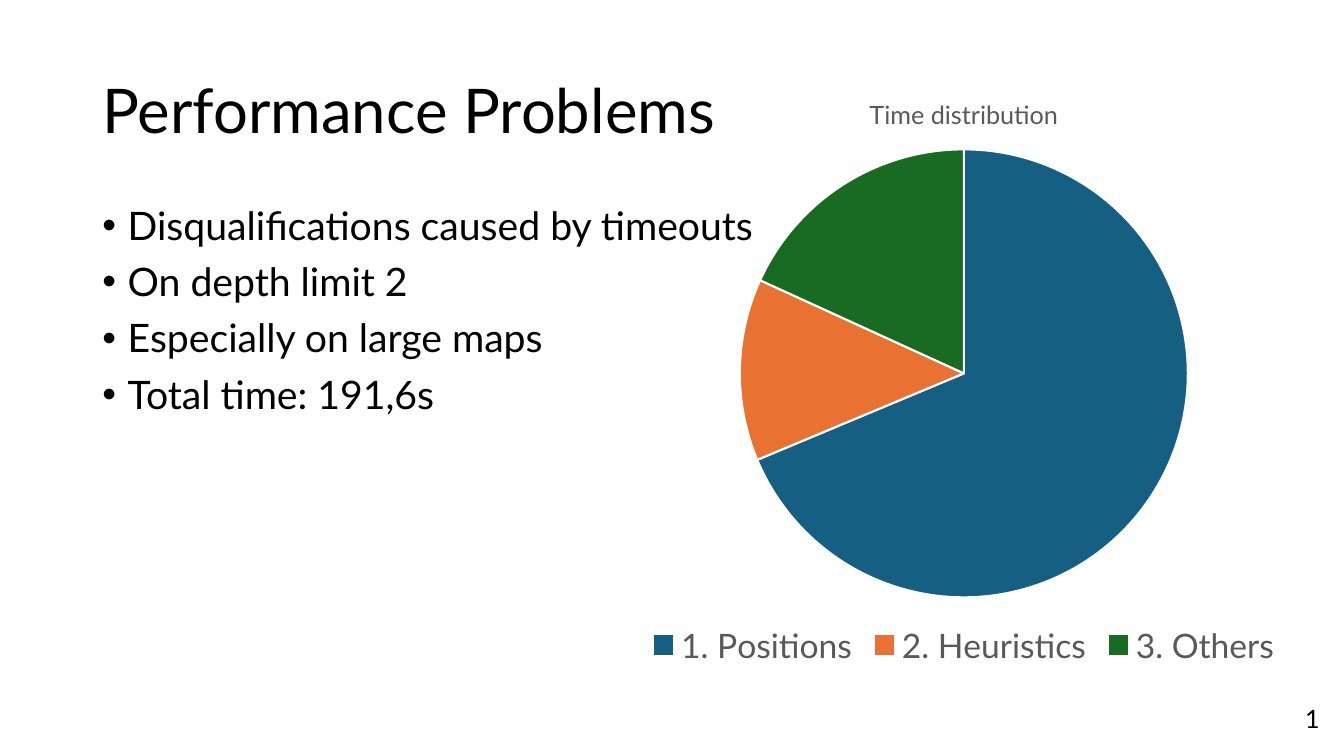
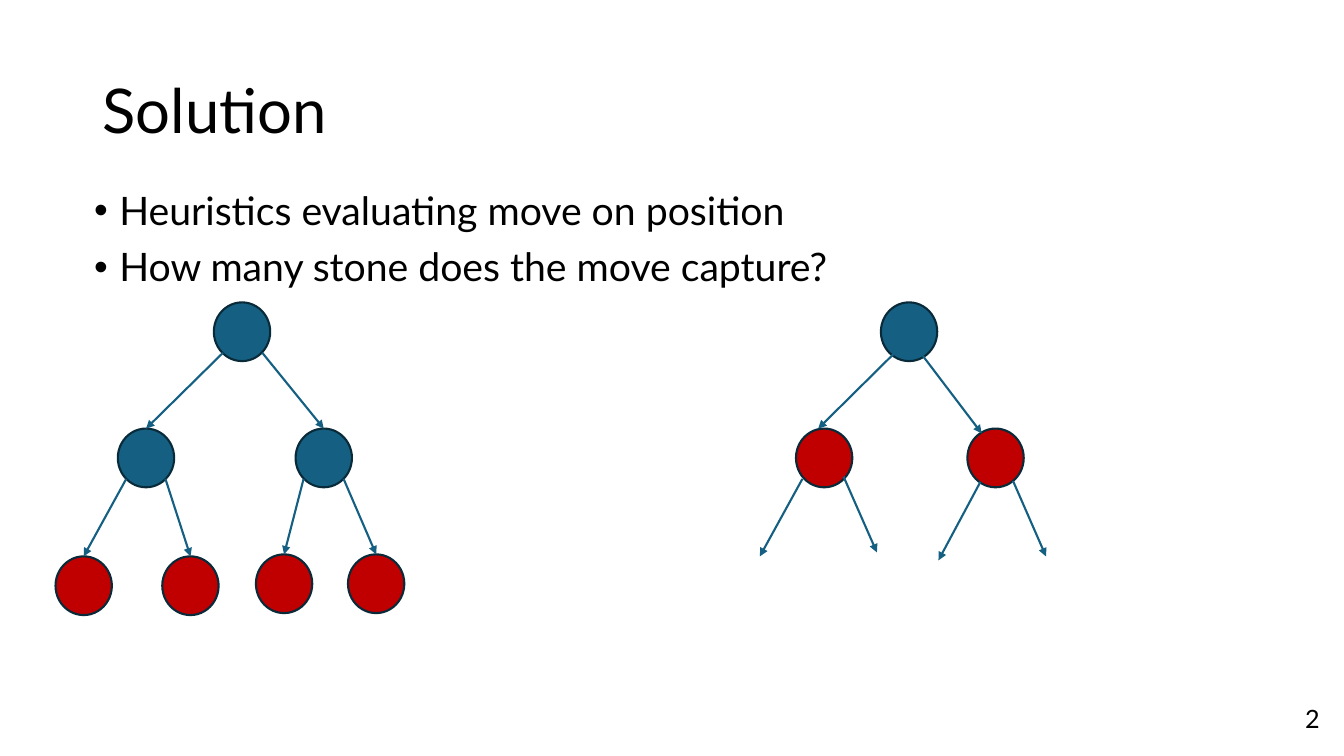
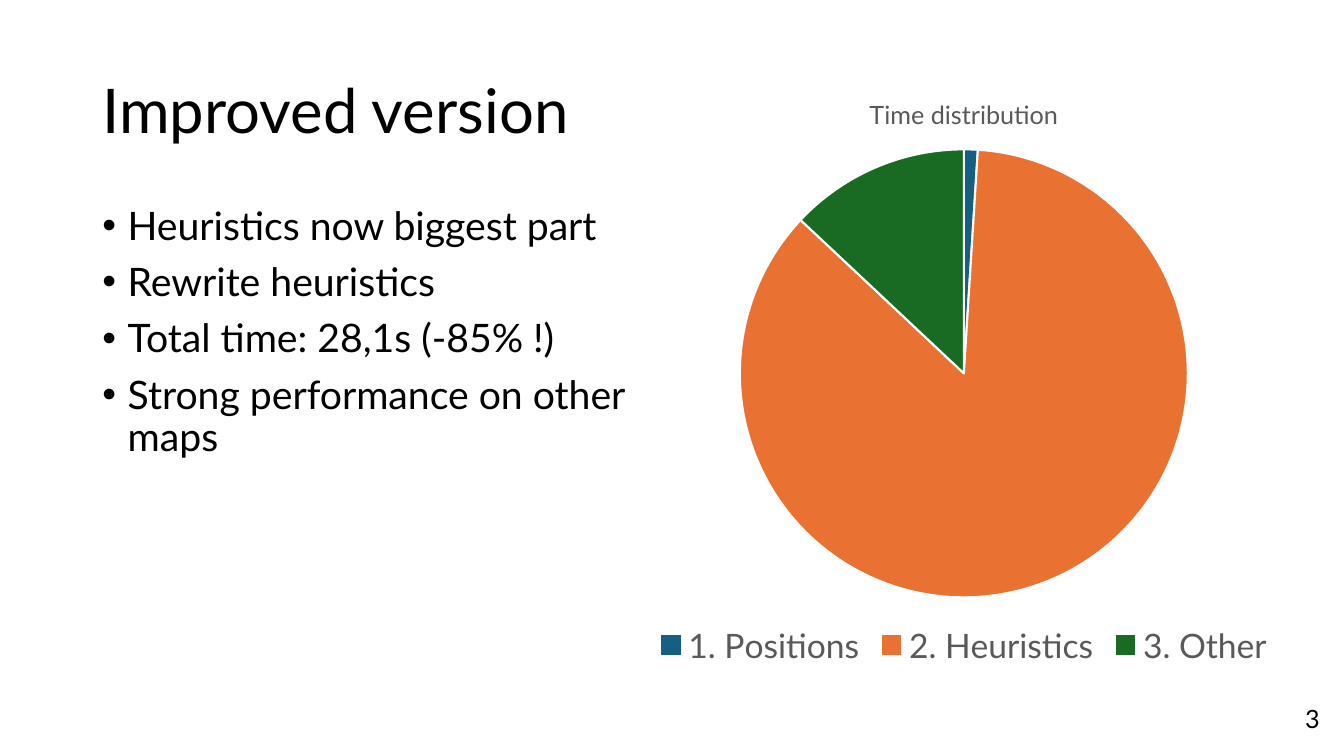
from pptx import Presentation
from pptx import util as u
from pptx.chart.data import CategoryChartData
from pptx.dml.color import RGBColor
from pptx.enum import chart as charts, shapes, text
from pptx.oxml import parse_xml
from pptx.oxml.ns import nsdecls, qn

FONT = "Lato"
COLORS = {
    "ink": "000000", "paper": "FFFFFF", "grey": "595959",
    "blue": "156082", "orange": "E97132", "green": "196B24",
    "red": "C00000", "outline": "092A39",
}
SLICES = ("blue", "orange", "green")
NODE_SIZE = (1.42, 1.48)
CHART_BOX = (13, 1.88, 22.58, 15.06)


def color(name):
    return RGBColor.from_string(COLORS[name])


def place(box):
    return [u.Cm(length) for length in box]


def style(font, size, name="ink"):
    font.name, font.size, font.bold = FONT, u.Pt(size), False
    font.color.rgb = color(name)


# Shared parts: title and page number
def new_page(deck, title):
    page = deck.slides.add_slide(deck.slide_layouts[5])
    heading = page.shapes.title
    heading.left, heading.top, heading.width, heading.height = place((2.33, 1.01, 29.21, 3.68))
    frame = heading.text_frame
    frame.text = title
    frame.auto_size = text.MSO_AUTO_SIZE.NONE
    frame.vertical_anchor = text.MSO_ANCHOR.MIDDLE
    para = frame.paragraphs[0]
    para.alignment, para.line_spacing = text.PP_ALIGN.LEFT, 0.9
    style(para.runs[0].font, 44)
    add_page_number(page, len(deck.slides), (32.64, 17.6, 0.86, 1.02))
    return page


def add_page_number(page, number, box):
    frame = page.shapes.add_textbox(*place(box)).text_frame
    frame.word_wrap = False
    para = frame.paragraphs[0]
    para._p.append(parse_xml(
        f'<a:fld {nsdecls("a")} id="{{B6F15528-21DE-4FAA-801E-634DDDAF4B2B}}" type="slidenum">'
        f'<a:rPr lang="en-US" sz="1800"><a:solidFill><a:srgbClr val="{COLORS["ink"]}"/></a:solidFill>'
        f'<a:latin typeface="{FONT}"/></a:rPr><a:t>{number}</a:t></a:fld>'))


# Bulleted text
def add_bullets(page, lines, box):
    frame = page.shapes.add_textbox(*place(box)).text_frame
    frame.word_wrap = True
    frame.text = "\n".join(lines)
    for para in frame.paragraphs:
        para.line_spacing, para.space_before = 0.9, u.Pt(10)
        style(para.runs[0].font, 28)
        properties = para._p.get_or_add_pPr()
        properties.set("marL", str(u.Cm(0.64)))
        properties.set("indent", str(-u.Cm(0.64)))
        properties.append(parse_xml(f'<a:buFont {nsdecls("a")} typeface="Arial"/>'))
        properties.append(parse_xml(f'<a:buChar {nsdecls("a")} char="•"/>'))


# Pie chart with title above and legend below
def add_pie(page, categories, values, box):
    data = CategoryChartData()
    data.categories = categories
    data.add_series("Series 1", values)
    chart = page.shapes.add_chart(charts.XL_CHART_TYPE.PIE, *place(box), data).chart
    style(chart.font, 10)
    chart.has_title = True
    chart.chart_title.include_in_layout = False
    frame = chart.chart_title.text_frame
    frame.text = "Time distribution"
    style(frame.paragraphs[0].runs[0].font, 18, "grey")
    chart.has_legend = True
    chart.legend.position = charts.XL_LEGEND_POSITION.BOTTOM
    chart.legend.include_in_layout = False
    style(chart.legend.font, 24, "grey")
    plot = chart.plots[0]
    plot.vary_by_categories = True
    for index, name in enumerate(SLICES):
        part = plot.series[0].points[index].format
        part.fill.solid()
        part.fill.fore_color.rgb = color(name)
        part.line.color.rgb = color("paper")
        part.line.width = u.Pt(1.5)
    # Fixed place of the pie within the chart
    area = chart._chartSpace.chart.plotArea
    for layout in area.findall(qn("c:layout")):
        area.remove(layout)
    place_xml = "".join(f'<c:{key} val="{value}"/>' for key, value in (
        ("layoutTarget", "inner"), ("xMode", "edge"), ("yMode", "edge"),
        ("x", 0.25), ("y", 0.125), ("w", 0.5), ("h", 0.75)))
    area.insert(0, parse_xml(
        f'<c:layout {nsdecls("c")}><c:manualLayout>{place_xml}</c:manualLayout></c:layout>'))


# Search tree: nodes and arrows relative to the tree's corner
def add_node(page, left, top, fill):
    node = page.shapes.add_shape(shapes.MSO_SHAPE.OVAL, *place((left, top, *NODE_SIZE)))
    node.shadow.inherit = False
    node.fill.solid()
    node.fill.fore_color.rgb = color(fill)
    node.line.color.rgb = color("outline")
    node.line.width = u.Pt(1.5)
    return node


def add_arrow(page, begin, end):
    arrow = page.shapes.add_connector(shapes.MSO_CONNECTOR.STRAIGHT, *place((*begin, *end)))
    arrow.line.color.rgb = color("blue")
    arrow.line.width = u.Pt(1.5)
    arrow.line._get_or_add_ln().append(parse_xml(f'<a:tailEnd {nsdecls("a")} type="triangle"/>'))
    arrow._element.spPr.append(parse_xml(f'<a:effectLst {nsdecls("a")}/>'))
    return arrow


def add_tree(page, nodes, arrows, corner):
    def shift(point):
        return point[0] + corner[0], point[1] + corner[1]

    ovals = {name: add_node(page, *shift((left, top)), fill)
             for name, (left, top, fill) in nodes.items()}
    for begin, target in arrows:
        if target in ovals:
            add_arrow(page, shift(begin), shift(begin)).end_connect(ovals[target], 0)
        else:
            add_arrow(page, shift(begin), shift(target))


FULL_NODES = {
    "root": (3.99, 0, "blue"),
    "left": (1.57, 3.18, "blue"), "right": (6.05, 3.18, "blue"),
    "leaf 1": (0, 6.4, "red"), "leaf 2": (2.69, 6.4, "red"),
    "leaf 3": (5.05, 6.35, "red"), "leaf 4": (7.37, 6.35, "red"),
}
FULL_ARROWS = [
    ((4.22, 1.27), "left"), ((5.21, 1.27), "right"),
    ((1.78, 4.45), "leaf 1"), ((2.77, 4.45), "leaf 2"),
    ((6.25, 4.45), "leaf 3"), ((7.26, 4.45), "leaf 4"),
]
CUT_NODES = {
    "root": (3.05, 0, "blue"),
    "left": (0.91, 3.18, "red"), "right": (5.23, 3.18, "red"),
}
CUT_ARROWS = [
    ((3.48, 1.19), (1.47, 3.18)), ((4.11, 1.35), (5.59, 3.3)),
    ((1.07, 4.45), (0, 6.4)), ((2.11, 4.39), (2.95, 6.3)),
    ((5.56, 4.52), (4.5, 6.5)), ((6.38, 4.5), (7.21, 6.4)),
]


# Types of slide
def chart_page(deck, title, lines, width, categories, values):
    page = new_page(deck, title)
    add_bullets(page, lines, (2.33, 5.07, width, 12.09))
    add_pie(page, categories, values, CHART_BOX)


def tree_page(deck, title, lines):
    page = new_page(deck, title)
    add_bullets(page, lines, (2.12, 4.7, 29.21, 12.09))
    add_tree(page, FULL_NODES, FULL_ARROWS, (1.4, 7.62))
    add_tree(page, CUT_NODES, CUT_ARROWS, (19.15, 7.62))


def main():
    deck = Presentation()
    deck.slide_width, deck.slide_height = u.Cm(33.87), u.Cm(19.05)
    chart_page(deck, "Performance Problems",
               ["Disqualifications caused by timeouts", "On depth limit 2",
                "Especially on large maps", "Total time: 191,6s"],
               29.21, ["1. Positions", "2. Heuristics", "3. Others"], [68, 13, 18])
    tree_page(deck, "Solution",
              ["Heuristics evaluating move on position", "How many stone does the move capture?"])
    chart_page(deck, "Improved version",
               ["Heuristics now biggest part", "Rewrite heuristics",
                "Total time: 28,1s (-85% !)", "Strong performance on other maps"],
               14.6, ["1. Positions", "2. Heuristics", "3. Other"], [1, 86, 13])
    deck.save("out.pptx")


if __name__ == "__main__":
    main()
